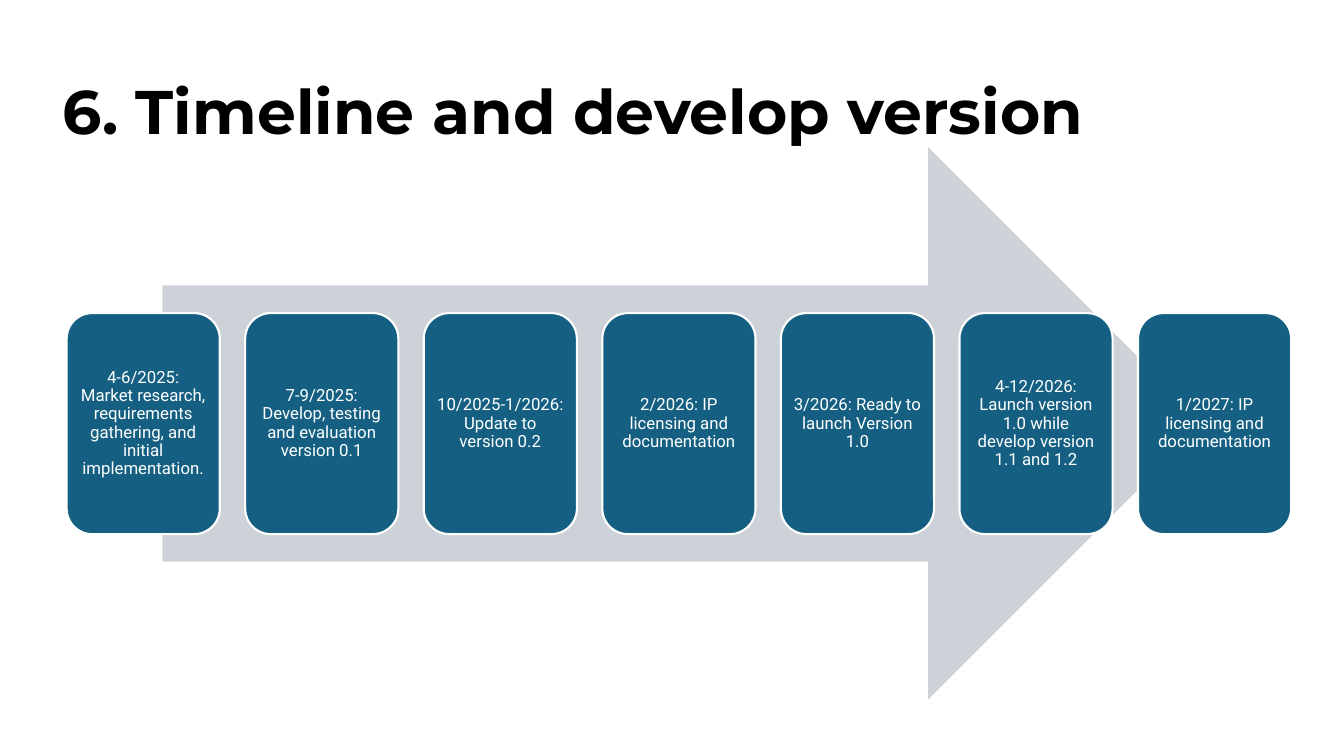
from pptx import Presentation
from pptx.dml.color import RGBColor
from pptx.enum.shapes import MSO_SHAPE
from pptx.enum.text import MSO_ANCHOR, PP_ALIGN
from pptx.util import Cm, Pt

COLORS = {"title": "000000", "arrow": "CCD2D8", "card": "156082", "white": "FFFFFF"}

MILESTONES = [
    "4-6/2025: Market research, requirements gathering, and initial implementation.",
    "7-9/2025: Develop, testing and evaluation version 0.1",
    "10/2025-1/2026: Update to version 0.2",
    "2/2026: IP licensing and documentation",
    "3/2026: Ready to launch Version 1.0",
    "4-12/2026: Launch version 1.0 while develop version 1.1 and 1.2",
    "1/2027: IP licensing and documentation",
]
FIRST_CARD_LEFT = 1.68
CARD_PITCH = 4.5


def color(name):
    return RGBColor.from_string(COLORS[name])


def style_text(paragraph, font_name, size, color_name, bold=False):
    paragraph.line_spacing = 0.9
    for run in paragraph.runs:
        run.font.name = font_name
        run.font.size = Pt(size)
        run.font.bold = bold
        run.font.color.rgb = color(color_name)


def set_title(slide, wording):
    title = slide.shapes.title
    title.left, title.top, title.width, title.height = Cm(1.32), Cm(1.5), Cm(29.21), Cm(2.77)
    frame = title.text_frame
    frame.text = wording
    frame.word_wrap = True
    frame.vertical_anchor = MSO_ANCHOR.MIDDLE
    heading = frame.paragraphs[0]
    heading.alignment = PP_ALIGN.LEFT
    style_text(heading, "Montserrat", 44, "title", bold=True)


def add_filled_shape(slide, preset, left, top, width, height, fill_name):
    shape = slide.shapes.add_shape(preset, Cm(left), Cm(top), Cm(width), Cm(height))
    shape.shadow.inherit = False
    shape.fill.solid()
    shape.fill.fore_color.rgb = color(fill_name)
    return shape


def add_timeline_arrow(slide):
    arrow = add_filled_shape(slide, MSO_SHAPE.RIGHT_ARROW, 4.09, 3.71, 26.26, 13.92, "arrow")
    arrow.line.fill.background()


def add_milestone(slide, left, wording):
    card = add_filled_shape(slide, MSO_SHAPE.ROUNDED_RECTANGLE, left, 7.89, 3.86, 5.57, "card")
    card.line.color.rgb = color("white")
    card.line.width = Pt(1.5)
    frame = card.text_frame
    frame.text = wording
    frame.word_wrap = True
    frame.vertical_anchor = MSO_ANCHOR.MIDDLE
    frame.margin_left = frame.margin_right = Cm(0.13)
    frame.margin_top = frame.margin_bottom = Cm(0.13)
    label = frame.paragraphs[0]
    label.alignment = PP_ALIGN.CENTER
    style_text(label, "Roboto", 12, "white")


def main():
    deck = Presentation()
    deck.slide_width, deck.slide_height = Cm(33.87), Cm(19.05)
    slide = deck.slides.add_slide(deck.slide_layouts[5])

    # Heading
    set_title(slide, "6. Timeline and develop version")

    # Timeline: arrow behind evenly spaced milestones
    add_timeline_arrow(slide)
    for position, wording in enumerate(MILESTONES):
        add_milestone(slide, FIRST_CARD_LEFT + position * CARD_PITCH, wording)

    deck.save("out.pptx")


if __name__ == "__main__":
    main()
